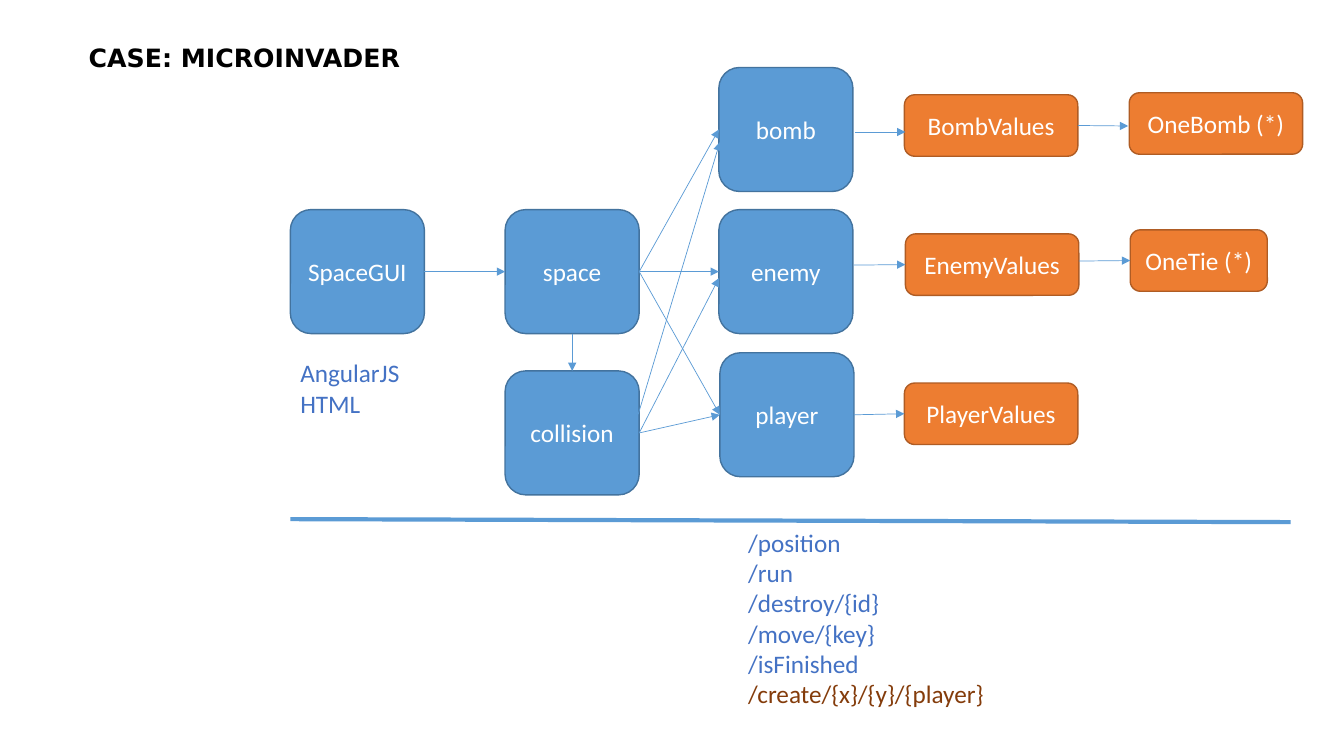
from lxml.etree import SubElement
from pptx import Presentation
from pptx.dml.color import RGBColor
from pptx.enum.shapes import MSO_CONNECTOR as Connector, MSO_SHAPE as Preset
from pptx.enum.text import MSO_ANCHOR as Anchor, MSO_AUTO_SIZE as AutoSize, PP_ALIGN as Align
from pptx.oxml.ns import qn
from pptx.util import Inches, Pt

BLUE, BLUE_EDGE = "5B9BD5", "43739E"
ORANGE, ORANGE_EDGE = "ED7D31", "AF5C24"
TEXT_BLUE, BROWN, WHITE, BLACK = "4472C4", "843C0B", "FFFFFF", "000000"
TOP, LEFT, BOTTOM, RIGHT = range(4)


def paint(color_format, value):
    color_format.rgb = RGBColor.from_string(value)


def style_font(para, color, name="Calibri", bold=False):
    para.font.name = name
    para.font.size = Pt(18)
    para.font.bold = bold
    paint(para.font.color, color)


def place(shape, left, top, width, height):
    shape.left, shape.top = Inches(left), Inches(top)
    shape.width, shape.height = Inches(width), Inches(height)


def write_lines(frame, lines):
    frame.word_wrap = True
    frame.auto_size = AutoSize.NONE
    frame.vertical_anchor = Anchor.TOP
    frame.text = "\n".join(text for text, color in lines)
    for para, (text, color) in zip(frame.paragraphs, lines):
        style_font(para, color)
        para.space_before = Pt(0)


def add_node(page, text, left, top, width, height, fill, edge):
    node = page.shapes.add_shape(
        Preset.ROUNDED_RECTANGLE, Inches(left), Inches(top), Inches(width), Inches(height)
    )
    node.shadow.inherit = False
    node.fill.solid()
    paint(node.fill.fore_color, fill)
    paint(node.line.color, edge)
    node.line.width = Pt(1)
    frame = node.text_frame
    frame.word_wrap = True
    frame.vertical_anchor = Anchor.MIDDLE
    frame.text = text
    para = frame.paragraphs[0]
    para.alignment = Align.CENTER
    style_font(para, WHITE)
    return node


def add_module(page, text, left, top):
    return add_node(page, text, left, top, 1.33, 1.23, BLUE, BLUE_EDGE)


def add_entity(page, text, left, top, width=1.72):
    return add_node(page, text, left, top, width, 0.61, ORANGE, ORANGE_EDGE)


def add_line(page, start, end, width):
    line = page.shapes.add_connector(Connector.STRAIGHT, *map(Inches, start + end))
    paint(line.line.color, BLUE)
    line.line.width = Pt(width)
    SubElement(line._element.spPr, qn("a:effectLst"))
    return line


def add_arrow(page, start, end, start_side=RIGHT, end_side=LEFT):
    start_point = start if isinstance(start, tuple) else (0, 0)
    end_point = end if isinstance(end, tuple) else (0, 0)
    arrow = add_line(page, start_point, end_point, 0.5)
    if not isinstance(start, tuple):
        arrow.begin_connect(start, start_side)
    if not isinstance(end, tuple):
        arrow.end_connect(end, end_side)
    SubElement(arrow.line._get_or_add_ln(), qn("a:tailEnd"), type="triangle")


def add_title(page, left, top, width, height):
    title = page.shapes.title
    place(title, left, top, width, height)
    write_lines(title.text_frame, [("CASE: MICROINVADER", BLACK)])
    para = title.text_frame.paragraphs[0]
    para.alignment = Align.JUSTIFY
    style_font(para, BLACK, "DejaVu Sans", True)


def add_front_end(page, left, top):
    gui = add_module(page, "SpaceGUI", left, top)
    label = page.shapes.add_textbox(0, 0, 0, 0)
    place(label, left, top + 1.42, 1.33, 0.71)
    write_lines(label.text_frame, [("AngularJS", TEXT_BLUE), ("HTML", TEXT_BLUE)])
    return gui


def add_modules(page, left, top, gui):
    middle, right = left + 2.12, top + 1.41
    space = add_module(page, "space", left, right)
    collision = add_module(page, "collision", left, top + 3.01)
    bomb = add_module(page, "bomb", middle, top)
    enemy = add_module(page, "enemy", middle, right)
    player = add_module(page, "player", middle + 0.01, top + 2.83)
    add_arrow(page, gui, space)
    for target in (bomb, enemy, player):
        add_arrow(page, space, target)
    add_arrow(page, space, collision, BOTTOM, TOP)
    add_arrow(page, (left + 1.32, top + 3.44), (middle + 0.01, top + 0.74))
    add_arrow(page, collision, (middle, top + 2.09))
    add_arrow(page, collision, player)
    return player


def add_entities(page, left, top, player):
    bomb_values = add_entity(page, "BombValues", left, top)
    add_entity(page, "OneBomb (*)", left + 2.23, top - 0.02)
    enemy_values = add_entity(page, "EnemyValues", left + 0.01, top + 1.38)
    one_tie = add_entity(page, "OneTie (*)", left + 2.24, top + 1.34, 1.36)
    player_values = add_entity(page, "PlayerValues", left, top + 2.86)
    add_arrow(page, (left - 0.49, top + 0.37), (left + 0.01, top + 0.37))
    add_arrow(page, bomb_values, (left + 2.22, top + 0.31))
    add_arrow(page, (left - 0.5, top + 1.69), enemy_values)
    add_arrow(page, (left + 1.73, top + 1.65), one_tie)
    add_arrow(page, player, player_values)


def add_routes(page, left, top, width, height):
    routes = page.placeholders[1]
    place(routes, left, top, width, height)
    paths = ["/position", "/run", "/destroy/{id}", "/move/{key}", "/isFinished"]
    lines = [(text, TEXT_BLUE) for text in paths]
    write_lines(routes.text_frame, lines + [("/create/{x}/{y}/{player}", BROWN)])
    for para in routes.text_frame.paragraphs:
        properties = para._p.get_or_add_pPr()
        properties.set("marL", "0")
        properties.set("indent", "0")
        SubElement(properties, qn("a:buNone"))


def main():
    deck = Presentation()
    deck.slide_width, deck.slide_height = Inches(13.33), Inches(7.5)
    page = deck.slides.add_slide(deck.slide_layouts[1])
    add_title(page, 0.78, 0.37, 8.07, 0.4)
    gui = add_front_end(page, 2.88, 2.08)
    player = add_modules(page, 5.01, 0.67, gui)
    add_entities(page, 8.97, 0.94, player)
    add_line(page, (2.88, 5.15), (12.8, 5.18), 3)
    add_routes(page, 7.32, 5.18, 3.02, 1.92)
    deck.save("out.pptx")


if __name__ == "__main__":
    main()
